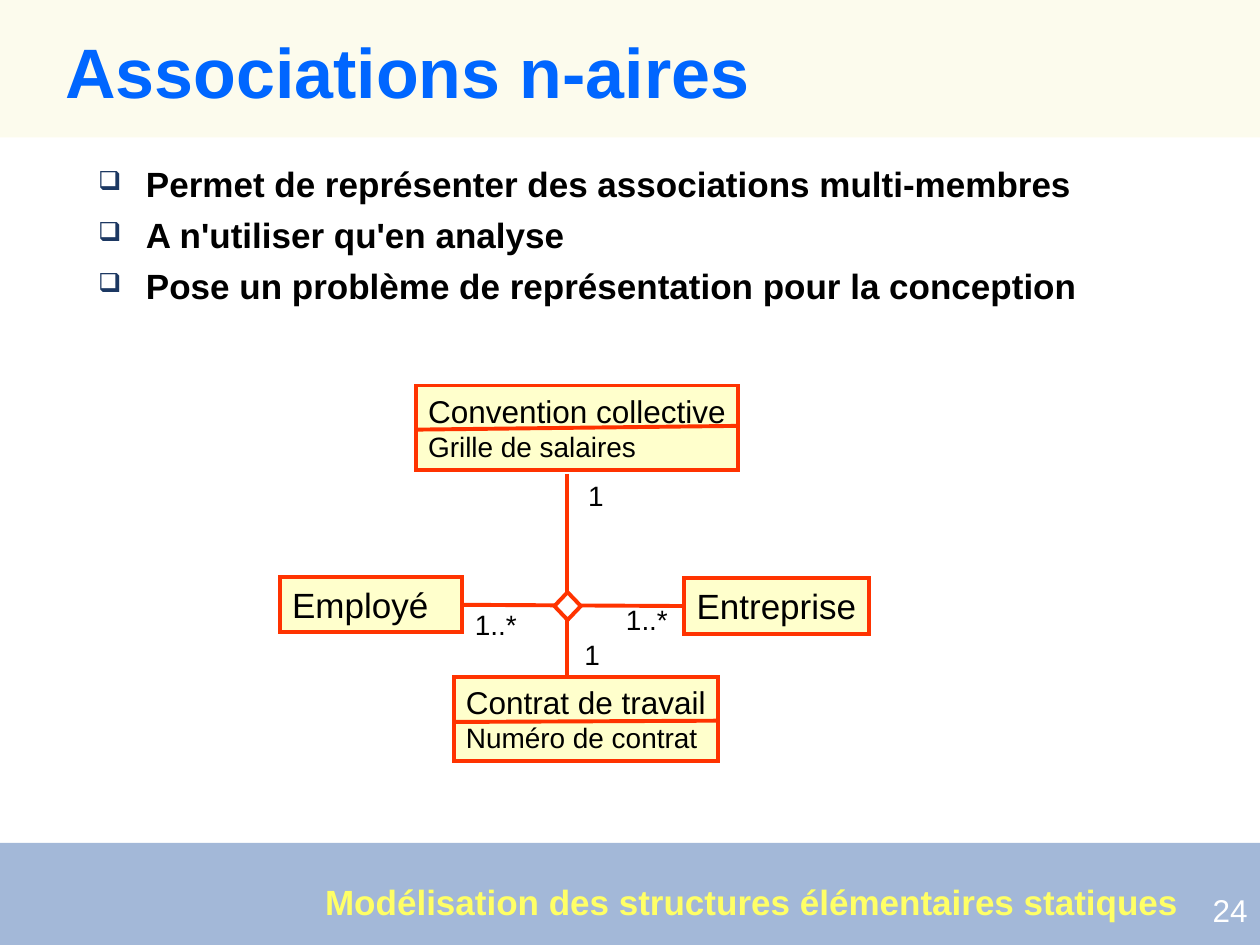
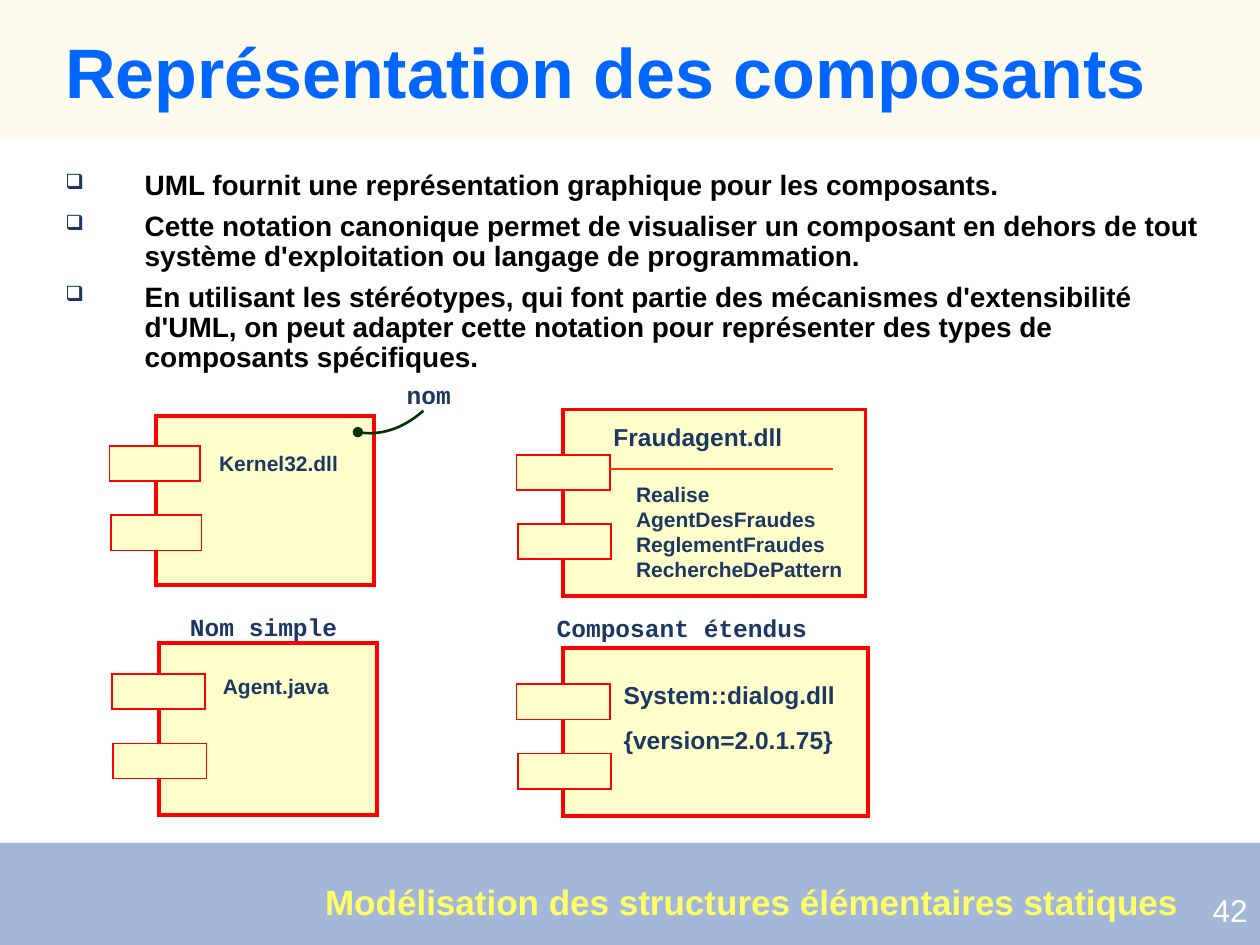
from dataclasses import dataclass, replace

from lxml import etree
from pptx import Presentation
from pptx import util as u
from pptx.dml.color import RGBColor
from pptx.enum import shapes, text
from pptx.oxml.ns import qn


@dataclass(frozen=True)
class Style:
    size: float
    color: str
    bold: bool = False
    font: str = "Arial"
    before: float = 0
    spacing: float = 1.0
    align: text.PP_ALIGN = text.PP_ALIGN.LEFT


@dataclass(frozen=True)
class Theme:
    top_band: str = "FAF8D8"
    bottom_band: str = "3363A9"
    band_opacity: int = 45
    box_fill: str = "FFFFCC"
    diamond_fill: str = "FFFFFF"
    class_line: str = "FF3300"
    component_line: str = "FF0000"
    pointer: str = "003300"
    bullet: str = "1C3862"
    thick: float = 2.25
    medium: float = 1.5
    thin: float = 1
    title: Style = Style(40, "0066FF", True, spacing=0.9)
    points: Style = Style(20, "000000", True, before=7.5, spacing=0.9)
    dense_points: Style = Style(16, "000000", True, before=6, spacing=0.9)
    class_name: Style = Style(20, "000000")
    compound_name: Style = Style(18, "000000")
    detail: Style = Style(16, "000000")
    component_name: Style = Style(12, "1C3862", True, before=7.5)
    extended_name: Style = Style(14, "1C3862", True, before=8.8)
    caption: Style = Style(14, "1C3862", True, "Courier New", 8.8)
    footer: Style = Style(20, "FFFF66", True)
    number: Style = Style(18, "FFFFFF", before=11.2, align=text.PP_ALIGN.RIGHT)


THEME = Theme()
FOOTER = "Modélisation des structures élémentaires statiques"


def inches(*lengths):
    return [u.Inches(length) for length in lengths]


def rgb(color):
    return RGBColor.from_string(color)


def add_run(para, content, style):
    span = para.add_run()
    span.text = content
    span.font.size = u.Pt(style.size)
    span.font.name = style.font
    span.font.bold = style.bold
    span.font.color.rgb = rgb(style.color)


def write(frame, entries, wrap=True, grow=True):
    frame.word_wrap = wrap
    frame.vertical_anchor = text.MSO_ANCHOR.TOP
    if grow:
        frame.auto_size = text.MSO_AUTO_SIZE.SHAPE_TO_FIT_TEXT
    for index, (content, style) in enumerate(entries):
        para = frame.add_paragraph() if index else frame.paragraphs[0]
        para.alignment = style.align
        para.line_spacing = style.spacing
        para.space_before = u.Pt(style.before)
        for line_index, line in enumerate(content.split("\n")):
            if line_index:
                para.add_line_break()
            add_run(para, line, style)


def add_text(page, at, style, *contents, wrap=True, grow=True):
    box = page.shapes.add_textbox(*inches(*at))
    write(box.text_frame, [(content, style) for content in contents], wrap, grow)
    return box


def add_bullets(page, at, style, indent, contents):
    box = add_text(page, at, style, *contents, grow=False)
    for para in box.text_frame.paragraphs:
        properties = para._p.get_or_add_pPr()
        properties.set("marL", str(u.Inches(indent)))
        properties.set("indent", str(-u.Inches(indent)))
        color = etree.SubElement(properties, qn("a:buClr"))
        etree.SubElement(color, qn("a:srgbClr"), val=THEME.bullet)
        etree.SubElement(properties, qn("a:buSzPct"), val="75000")
        etree.SubElement(properties, qn("a:buChar"), char="❑")


def add_box(page, at, fill, line=None, width=THEME.thick,
            kind=shapes.MSO_SHAPE.RECTANGLE):
    box = page.shapes.add_shape(kind, *inches(*at))
    box.shadow.inherit = False
    box.fill.solid()
    box.fill.fore_color.rgb = rgb(fill)
    if line:
        box.line.color.rgb = rgb(line)
        box.line.width = u.Pt(width)
        etree.SubElement(box.line._get_or_add_ln(), qn("a:miter"), lim="800000")
    else:
        box.line.fill.background()
    return box


def add_band(page, at, fill):
    band = add_box(page, at, fill)
    color = band._element.spPr.find(qn("a:solidFill")).find(qn("a:srgbClr"))
    etree.SubElement(color, qn("a:alpha"), val=str(THEME.band_opacity * 1000))


def add_line(page, start, end, width=THEME.thick):
    line = page.shapes.add_connector(
        shapes.MSO_CONNECTOR.STRAIGHT, *inches(*start, *end))
    line.line.color.rgb = rgb(THEME.class_line)
    line.line.width = u.Pt(width)
    etree.SubElement(line._element.spPr, qn("a:effectLst"))
    return line


def add_class(page, at, name, detail=None):
    box = add_box(page, at, THEME.box_fill, THEME.class_line)
    box.text_frame.margin_right = 0
    if detail:
        entries = [(name, THEME.compound_name), (detail, THEME.detail)]
    else:
        entries = [(name, THEME.class_name)]
    write(box.text_frame, entries)
    return box


def add_component(page, at, tab_drop, tab_width=0.74):
    left, top = at[:2]
    add_box(page, at, THEME.box_fill, THEME.component_line)
    for step in range(2):
        tab = (left - 0.37 + 0.01 * step, top + tab_drop + 0.55 * step,
               tab_width, 0.28)
        add_box(page, tab, THEME.box_fill, THEME.component_line, THEME.thin)


def add_pointer(page, *controls, steps=16):
    def point(t):
        weights = ((1 - t) ** 3, 3 * t * (1 - t) ** 2, 3 * t ** 2 * (1 - t), t ** 3)
        return tuple(u.Inches(sum(w * c[axis] for w, c in zip(weights, controls)))
                     for axis in range(2))

    points = [point(step / steps) for step in range(steps + 1)]
    builder = page.shapes.build_freeform(*points[0])
    builder.add_line_segments(points[1:], close=False)
    pointer = builder.convert_to_shape()
    pointer.shadow.inherit = False
    pointer.fill.background()
    pointer.line.color.rgb = rgb(THEME.pointer)
    pointer.line.width = u.Pt(THEME.medium)
    etree.SubElement(pointer.line._get_or_add_ln(), qn("a:headEnd"), type="oval")


def add_page(deck, title, number):
    page = deck.slides.add_slide(deck.slide_layouts[6])
    add_band(page, (0, 0, 10, 1.09), THEME.top_band)
    add_band(page, (0, 6.69, 10, 0.81), THEME.bottom_band)
    add_text(page, (9.02, 7.02, 0.98, 0.4), THEME.number, number)
    add_text(page, (0.42, 0.25, 9.37, 0.7), THEME.title, title)
    footer = add_text(page, (2.58, 6.99, 6.78, 0.33), THEME.footer, FOOTER, wrap=False)
    frame = footer.text_frame
    frame.margin_left = frame.margin_right = 0
    frame.margin_top = frame.margin_bottom = 0
    return page


def build_associations(deck):
    page = add_page(deck, "Associations n-aires", "24")
    add_bullets(page, (0.68, 1.28, 8.61, 1.37), THEME.points, 0.38, [
        "Permet de représenter des associations multi-membres",
        "A n'utiliser qu'en analyse",
        "Pose un problème de représentation pour la conception",
    ])
    employee = add_class(page, (2.22, 4.58, 1.45, 0.44), "Employé")
    company = add_class(page, (5.43, 4.59, 1.47, 0.44), "Entreprise")
    add_class(page, (3.6, 5.37, 2.1, 0.67), "Contrat de travail", "Numéro de contrat")
    add_class(page, (3.3, 3.06, 2.56, 0.67), "Convention collective", "Grille de salaires")

    link = add_line(page, (3.67, 4.8), (5.43, 4.8))
    link.begin_connect(employee, 3)
    link.end_connect(company, 1)
    for start, end in [
        ((4.5, 3.76), (4.5, 4.81)),
        ((4.5, 4.81), (4.5, 5.36)),
        ((3.59, 5.73), (5.71, 5.72)),
        ((3.29, 3.41), (5.86, 3.38)),
    ]:
        add_line(page, start, end)
    add_box(page, (4.4, 4.7, 0.21, 0.22), THEME.diamond_fill, THEME.class_line,
            kind=shapes.MSO_SHAPE.DIAMOND)

    for left, top, width, multiplicity in [
        (3.67, 4.77, 0.53, "1..*"),
        (4.87, 4.73, 0.53, "1..*"),
        (4.57, 3.75, 0.32, "1"),
        (4.54, 5.01, 0.32, "1"),
    ]:
        add_text(page, (left, top, width, 0.37), THEME.detail, multiplicity, wrap=False)


def build_components(deck):
    page = add_page(deck, "Représentation des composants", "42")
    add_bullets(page, (0.42, 1.31, 9.38, 1.71), THEME.dense_points, 0.63, [
        "UML fournit une représentation graphique pour les composants.",
        "Cette notation canonique permet de visualiser un composant en dehors de tout "
        "système d'exploitation ou langage de programmation.",
        "En utilisant les stéréotypes, qui font partie des mécanismes d'extensibilité "
        "d'UML, on peut adapter cette notation pour représenter des types de "
        "composants spécifiques.",
    ])
    add_component(page, (1.24, 3.3, 1.73, 1.34), 0.24, tab_width=0.72)
    add_component(page, (1.26, 5.1, 1.73, 1.37), 0.25)
    add_component(page, (4.47, 3.25, 2.4, 1.48), 0.36)
    add_component(page, (4.47, 5.14, 2.42, 1.34), 0.29)
    add_line(page, (4.84, 3.72), (6.61, 3.72), THEME.thin)
    add_pointer(page, (2.84, 3.43), (3.01, 3.46), (3.19, 3.41), (3.36, 3.26))

    interfaces = replace(THEME.component_name, before=0)
    for at, style, *contents in [
        ((1.64, 3.53, 1.42, 0.3), THEME.component_name, "Kernel32.dll"),
        ((1.67, 5.3, 1.42, 0.3), THEME.component_name, "Agent.java"),
        ((4.77, 3.3, 1.88, 0.34), THEME.extended_name, "Fraudagent.dll"),
        ((4.95, 3.77, 1.87, 0.9), interfaces,
         "Realise\nAgentDesFraudes\nReglementFraudes\nRechercheDePattern"),
        ((4.85, 5.35, 1.89, 0.69), THEME.extended_name,
         "System::dialog.dll", "{version=2.0.1.75}"),
        ((3.13, 2.97, 0.76, 0.34), THEME.caption, "nom"),
        ((1.41, 4.81, 1.7, 0.34), THEME.caption, "Nom simple"),
        ((4.32, 4.82, 2.26, 0.34), THEME.caption, "Composant étendus"),
    ]:
        add_text(page, at, style, *contents)


def main():
    deck = Presentation()
    deck.slide_width, deck.slide_height = inches(10, 7.5)
    build_associations(deck)
    build_components(deck)
    deck.save("out.pptx")


if __name__ == "__main__":
    main()
